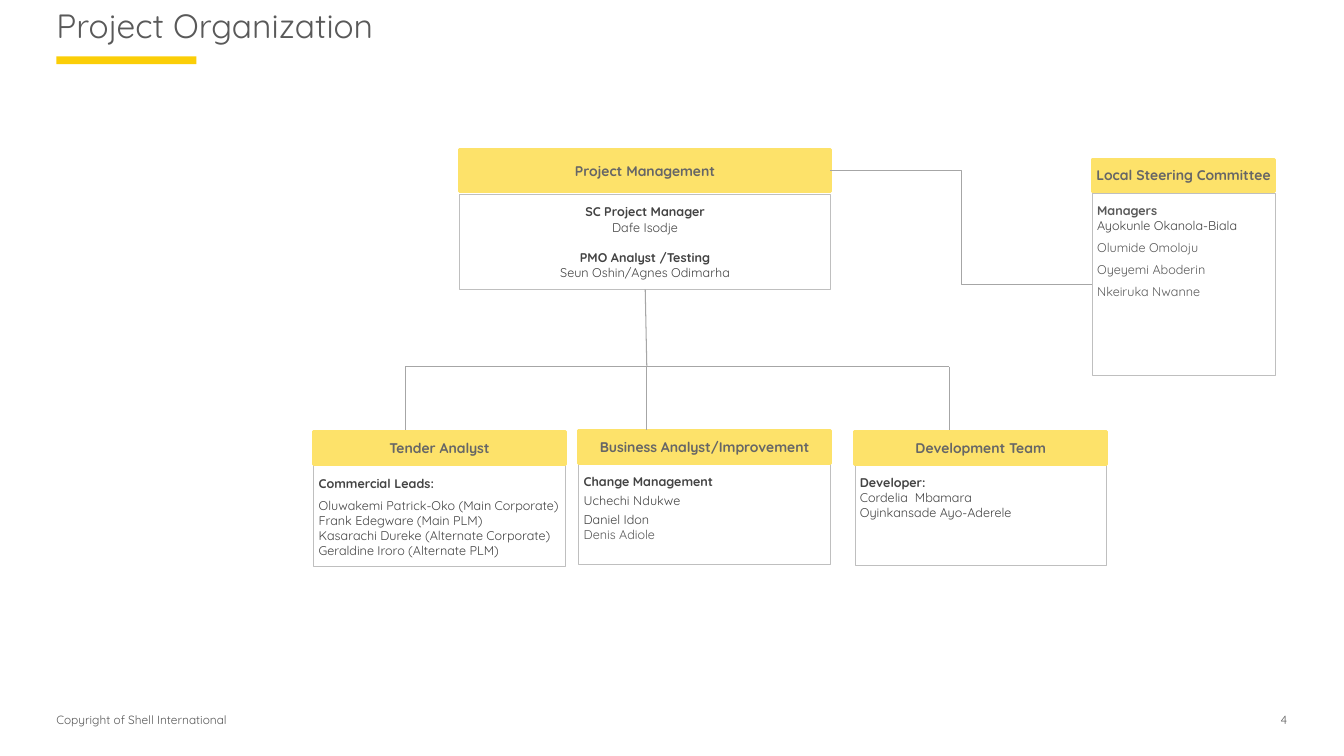
from lxml.etree import SubElement
from pptx import Presentation
from pptx.dml.color import RGBColor
from pptx.enum.shapes import MSO_CONNECTOR, MSO_SHAPE
from pptx.enum.text import MSO_ANCHOR, PP_ALIGN
from pptx.oxml.ns import qn
from pptx.util import Cm, Pt

FONT = "Quicksand"
GOLD = RGBColor(0xFB, 0xCE, 0x07)
YELLOW = RGBColor(0xFD, 0xE2, 0x6A)
WHITE = RGBColor(0xFF, 0xFF, 0xFF)
BORDER = RGBColor(0xBF, 0xBF, 0xBF)
LINE = RGBColor(0xA6, 0xA6, 0xA6)
DARK = RGBColor(0x43, 0x43, 0x43)
MID = RGBColor(0x59, 0x59, 0x59)
HEADING = RGBColor(0x66, 0x66, 0x66)
LEFT, CENTER, RIGHT = PP_ALIGN.LEFT, PP_ALIGN.CENTER, PP_ALIGN.RIGHT


def set_margins(tf, x=0, y=0):
    tf.margin_left = tf.margin_right = Cm(x)
    tf.margin_top = tf.margin_bottom = Cm(y)
    tf.word_wrap = True


def add_run(p, text, size, color, bold=False, align=LEFT):
    p.alignment = align
    r = p.add_run()
    r.text = text
    r.font.name, r.font.size, r.font.bold = FONT, Pt(size), bold
    r.font.color.rgb = color


def add_label(s, x, y, w, h, text, size, align=LEFT):
    tf = s.shapes.add_textbox(Cm(x), Cm(y), Cm(w), Cm(h)).text_frame
    set_margins(tf)
    add_run(tf.paragraphs[0], text, size, MID, align=align)


def add_rect(s, x, y, w, h, fill, line=None, width=0):
    sp = s.shapes.add_shape(MSO_SHAPE.RECTANGLE, Cm(x), Cm(y), Cm(w), Cm(h))
    sp.shadow.inherit = False
    sp.fill.solid()
    sp.fill.fore_color.rgb = fill
    if line is None:
        sp.line.fill.background()
    else:
        sp.line.color.rgb = line
        sp.line.width = Pt(width)
    return sp


def add_card(s, x, y, w, head_h, body_y, body_h, heading, rows, align=LEFT):
    """Heading bar over a body; each row is text, bold, colour, space before, space after."""
    body = add_rect(s, x, body_y, w, body_h, WHITE, BORDER, 0.25)
    tf = body.text_frame
    set_margins(tf, 0.13, 0.25)
    tf.vertical_anchor = MSO_ANCHOR.TOP
    for i, (text, bold, color, before, after) in enumerate(rows):
        p = tf.add_paragraph() if i else tf.paragraphs[0]
        p.space_before, p.space_after = Pt(before), Pt(after)
        add_run(p, text, 9, color, bold, align)

    head = add_rect(s, x, y, w, head_h, YELLOW, YELLOW, 2)
    set_margins(head.text_frame)
    head.text_frame.vertical_anchor = MSO_ANCHOR.MIDDLE
    add_run(head.text_frame.paragraphs[0], heading, 10, HEADING, True, CENTER)
    return head, body


def add_line(s, x1, y1, x2, y2, kind=MSO_CONNECTOR.STRAIGHT):
    c = s.shapes.add_connector(kind, Cm(x1), Cm(y1), Cm(x2), Cm(y2))
    c.line.color.rgb = LINE
    c.line.width = Pt(0.75)
    SubElement(c._element.spPr, qn("a:effectLst"))
    return c


def add_frame(s):
    """Title, accent bar and footer."""
    add_rect(s, 1.42, 1.42, 3.53, 0.2, GOLD)
    add_label(s, 1.42, 0.13, 9.78, 1.6, "Project Organization", 24)
    add_label(s, 1.42, 17.96, 9.32, 0.66, "Copyright of Shell International", 8.5)
    add_label(s, 31.45, 17.96, 0.99, 0.66, "4", 8.5, RIGHT)


def add_management(s):
    """Project management and the steering committee beside it."""
    manager, _ = add_card(s, 11.58, 3.76, 9.35, 1.07, 4.9, 2.39, "Project Management", [
        ("SC Project Manager", True, DARK, 0, 0),
        ("Dafe Isodje", False, DARK, 0, 0),
        ("PMO Analyst /Testing", True, DARK, 11, 0),
        ("Seun Oshin/Agnes Odimarha", False, DARK, 0, 0),
    ], CENTER)
    _, committee = add_card(s, 27.52, 4.01, 4.61, 0.81, 4.86, 4.6, "Local Steering Committee", [
        ("Managers", True, MID, 0, 0),
        ("Ayokunle Okanola-Biala", False, DARK, 0, 5),
        ("Olumide Omoloju", False, MID, 0, 5),
        ("Oyeyemi Aboderin", False, MID, 0, 5),
        ("Nkeiruka Nwanne", False, MID, 0, 5),
    ])
    link = add_line(s, 20.93, 4.29, 27.52, 7.16, MSO_CONNECTOR.ELBOW)
    link.begin_connect(manager, 3)
    link.end_connect(committee, 1)


def add_teams(s):
    """The three teams and the lines that lead to them."""
    teams = [
        (7.9, 10.87, 11.73, "Tender Analyst", [
            ("Commercial Leads:", True, DARK, 0, 5),
            ("Oluwakemi Patrick-Oko (Main Corporate)", False, DARK, 0, 0),
            ("Frank Edegware (Main PLM)", False, DARK, 0, 0),
            ("Kasarachi Dureke (Alternate Corporate)", False, DARK, 0, 0),
            ("Geraldine Iroro (Alternate PLM)", False, DARK, 0, 0),
        ]),
        (14.58, 10.84, 11.68, "Business Analyst/Improvement", [
            ("Change Management", True, DARK, 0, 0),
            ("Uchechi Ndukwe", False, DARK, 3, 0),
            ("Daniel Idon", False, DARK, 3, 0),
            ("Denis Adiole", False, MID, 0, 0),
        ]),
        (21.54, 10.87, 11.71, "Development Team", [
            ("Developer:", True, DARK, 0, 0),
            ("Cordelia  Mbamara", False, DARK, 0, 0),
            ("Oyinkansade Ayo-Aderele", False, DARK, 0, 0),
        ]),
    ]
    for x, y, body_y, heading, rows in teams:
        add_card(s, x, y, 6.35, 0.84, body_y, 2.54, heading, rows)

    bus_y, drops = 9.24, (10.21, 16.3, 23.92)
    add_line(s, 16.26, 7.29, drops[1], bus_y)
    add_line(s, drops[0], bus_y, drops[-1], bus_y)
    for x in drops:
        add_line(s, x, bus_y, x, 10.84)


def main():
    prs = Presentation()
    prs.slide_width, prs.slide_height = Cm(33.87), Cm(19.05)
    s = prs.slides.add_slide(prs.slide_layouts[6])
    add_frame(s)
    add_management(s)
    add_teams(s)
    prs.save("out.pptx")


if __name__ == "__main__":
    main()
